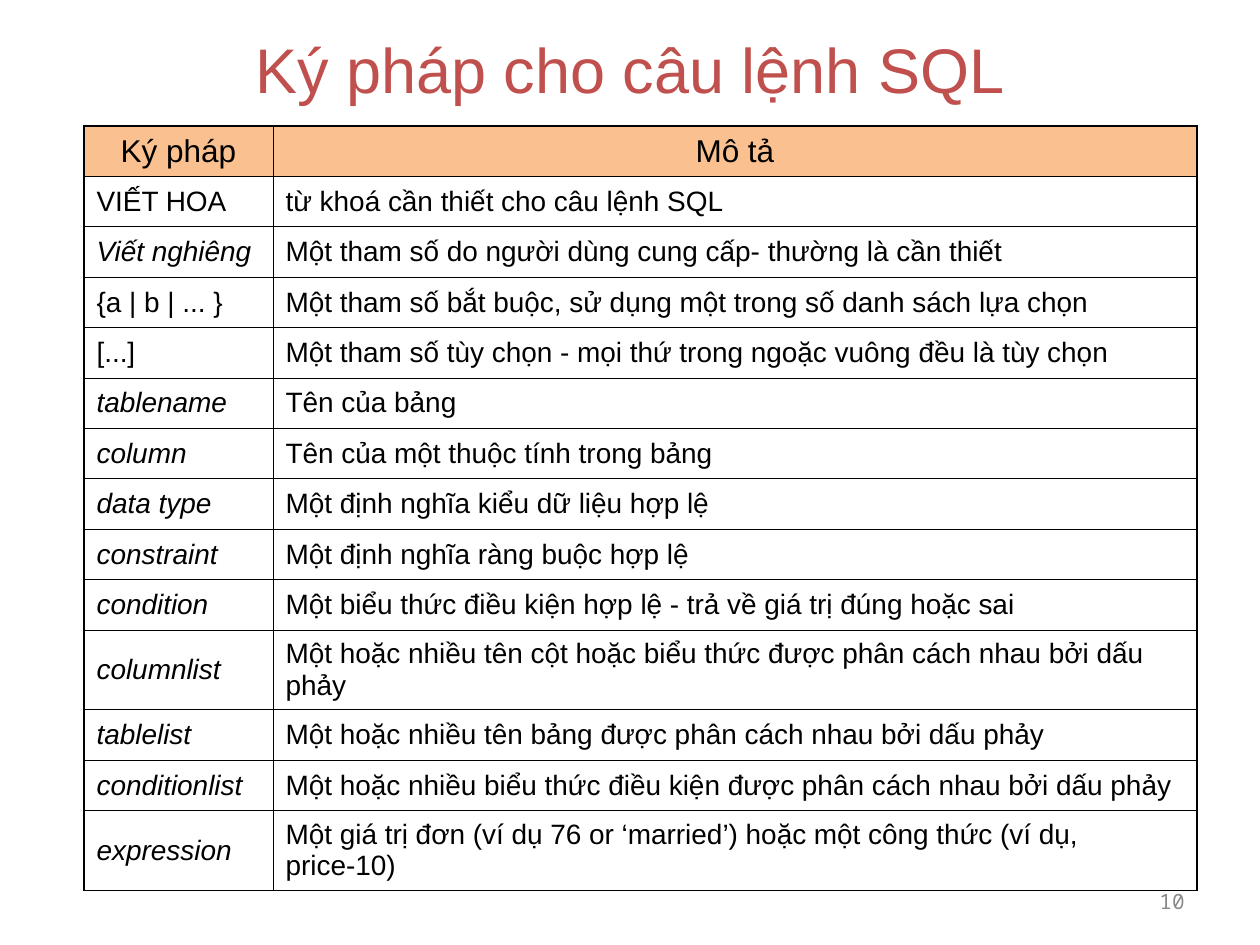
from dataclasses import dataclass

import pptx
import pptx.dml.color
import pptx.enum.text
import pptx.oxml
import pptx.oxml.ns
import pptx.util

ALIGN = pptx.enum.text.PP_ALIGN
MIDDLE = pptx.enum.text.MSO_ANCHOR.MIDDLE
COLUMNS, ROWS = 120, 90
WIDTH, HEIGHT = pptx.util.Inches(10), pptx.util.Inches(7.5)


@dataclass(frozen=True)
class Theme:
    font: str = "Arial"
    number_font: str = "Noto Sans Mono"
    title: str = "C0504D"
    ink: str = "000000"
    header_fill: str = "FAC090"
    muted: str = "898989"
    title_size: float = 36
    header_size: float = 18
    body_size: float = 16
    number_size: float = 12
    outer_line: float = 1.08
    inner_line: float = 0.45


@dataclass(frozen=True)
class Box:
    x: float
    y: float
    w: float
    h: float

    def emu(self) -> tuple[int, int, int, int]:
        return col(self.x), row(self.y), col(self.w), row(self.h)


@dataclass(frozen=True)
class Entry:
    notation: str
    description: str
    italic: bool = True
    height: float = 4.8


THEME = Theme()
TITLE_BOX = Box(9, 2, 102, 9)
NUMBER_BOX = Box(86, 83.4, 28, 4.8)
TABLE_X, TABLE_Y = 8, 12
TABLE_COLUMNS = (18, 88)
TALL = 7.6

ENTRIES = [
    Entry("Ký pháp", "Mô tả", italic=False),
    Entry("VIẾT HOA", "từ khoá cần thiết cho câu lệnh SQL", italic=False),
    Entry("Viết nghiêng", "Một tham số do người dùng cung cấp- thường là cần thiết"),
    Entry("{a | b | ... }", "Một tham số bắt buộc, sử dụng một trong số danh sách lựa chọn", italic=False),
    Entry("[...]", "Một tham số tùy chọn - mọi thứ trong ngoặc vuông đều là tùy chọn", italic=False),
    Entry("tablename", "Tên của bảng"),
    Entry("column", "Tên của một thuộc tính trong bảng"),
    Entry("data type", "Một định nghĩa kiểu dữ liệu hợp lệ"),
    Entry("constraint", "Một định nghĩa ràng buộc hợp lệ"),
    Entry("condition", "Một biểu thức điều kiện hợp lệ - trả về giá trị đúng hoặc sai"),
    Entry("columnlist", "Một hoặc nhiều tên cột hoặc biểu thức được phân cách nhau bởi dấu phảy", height=TALL),
    Entry("tablelist", "Một hoặc nhiều tên bảng được phân cách nhau bởi dấu phảy"),
    Entry("conditionlist", "Một hoặc nhiều biểu thức điều kiện được phân cách nhau bởi dấu phảy"),
    Entry("expression", "Một giá trị đơn (ví dụ 76 or ‘married’) hoặc một công thức (ví dụ, price-10)", height=TALL),
]


def col(n: float) -> int:
    return round(WIDTH * n / COLUMNS)


def row(n: float) -> int:
    return round(HEIGHT * n / ROWS)


def write(tf, text: str, *, size: float, color: str = THEME.ink, font: str = THEME.font,
          align=ALIGN.LEFT, italic: bool = False, before: float = 0) -> None:
    tf.word_wrap = True
    p = tf.paragraphs[0]
    p.alignment = align
    p.space_before = pptx.util.Pt(before)
    r = p.add_run()
    r.text = text
    r.font.name = font
    r.font.size = pptx.util.Pt(size)
    r.font.italic = italic
    r.font.color.rgb = pptx.dml.color.RGBColor.from_string(color)


def set_borders(cell, outer: dict[str, bool]) -> None:
    tc_pr = cell._tc.get_or_add_tcPr()
    for i, (side, is_outer) in enumerate(outer.items()):
        width = pptx.util.Pt(THEME.outer_line if is_outer else THEME.inner_line)
        tc_pr.insert(i, pptx.oxml.parse_xml(
            f'<a:ln{side} {pptx.oxml.ns.nsdecls("a")} w="{int(width)}"><a:solidFill>'
            f'<a:srgbClr val="{THEME.ink}"/></a:solidFill><a:prstDash val="solid"/></a:ln{side}>'))


def draw_table(s, entries: list[Entry]) -> None:
    box = Box(TABLE_X, TABLE_Y, sum(TABLE_COLUMNS), sum(e.height for e in entries))
    table = s.shapes.add_table(len(entries), len(TABLE_COLUMNS), *box.emu()).table
    table.first_row = table.horz_banding = False
    for column, width in zip(table.columns, TABLE_COLUMNS):
        column.width = col(width)
    for i, entry in enumerate(entries):
        header = i == 0
        table.rows[i].height = row(entry.height)
        for j, text in enumerate((entry.notation, entry.description)):
            cell = table.cell(i, j)
            cell.vertical_anchor = MIDDLE
            if header:
                cell.fill.solid()
                cell.fill.fore_color.rgb = pptx.dml.color.RGBColor.from_string(THEME.header_fill)
            else:
                cell.fill.background()
            set_borders(cell, {"L": j == 0, "R": j == len(TABLE_COLUMNS) - 1,
                               "T": header, "B": i == len(entries) - 1})
            write(cell.text_frame, text,
                  size=THEME.header_size if header else THEME.body_size,
                  align=ALIGN.CENTER if header else ALIGN.LEFT,
                  italic=entry.italic and j == 0,
                  before=4.5 if header else 4)


def main() -> None:
    prs = pptx.Presentation()
    prs.slide_width, prs.slide_height = WIDTH, HEIGHT
    s = prs.slides.add_slide(prs.slide_layouts[5])

    title = s.shapes.title
    title.left, title.top, title.width, title.height = TITLE_BOX.emu()
    title.text_frame.vertical_anchor = MIDDLE
    write(title.text_frame, "Ký pháp cho câu lệnh SQL",
          size=THEME.title_size, color=THEME.title, align=ALIGN.CENTER)

    draw_table(s, ENTRIES)

    number = s.shapes.add_textbox(*NUMBER_BOX.emu())
    number.text_frame.vertical_anchor = MIDDLE
    write(number.text_frame, "10", size=THEME.number_size, color=THEME.muted,
          font=THEME.number_font, align=ALIGN.RIGHT)

    prs.save("out.pptx")


if __name__ == "__main__":
    main()
